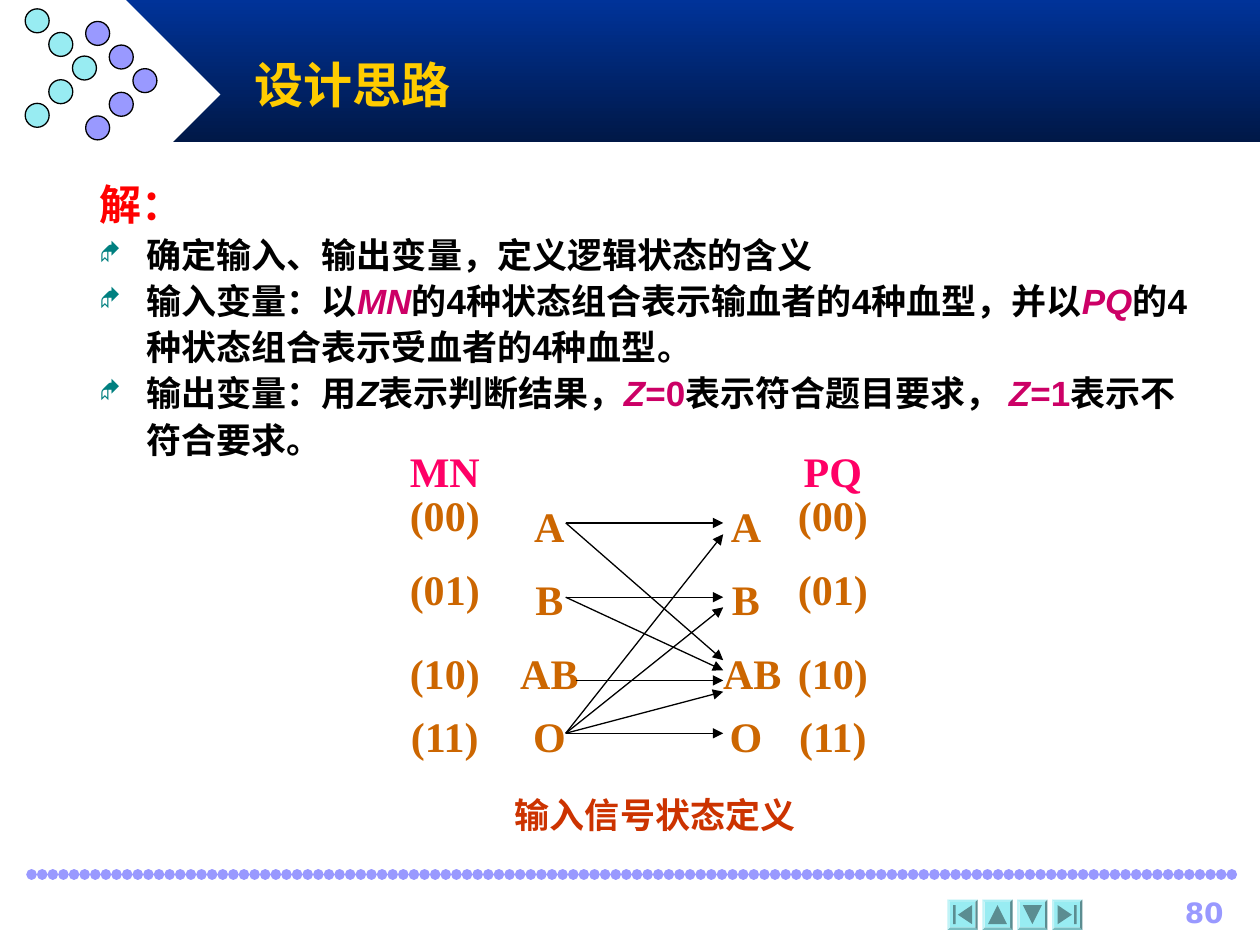
from typing import NamedTuple

from lxml import etree
from pptx import Presentation
from pptx.dml.color import RGBColor
from pptx.enum.shapes import MSO_CONNECTOR, MSO_SHAPE
from pptx.enum.text import MSO_ANCHOR, PP_ALIGN
from pptx.oxml.ns import qn
from pptx.util import Inches, Pt

STRAIGHT = MSO_CONNECTOR.STRAIGHT
RECT, DIAMOND, OVAL = MSO_SHAPE.RECTANGLE, MSO_SHAPE.DIAMOND, MSO_SHAPE.OVAL
BEVEL = MSO_SHAPE.BEVEL
FIRST, LAST = MSO_SHAPE.ACTION_BUTTON_BEGINNING, MSO_SHAPE.ACTION_BUTTON_END
PREVIOUS = MSO_SHAPE.ACTION_BUTTON_BACK_OR_PREVIOUS
NEXT = MSO_SHAPE.ACTION_BUTTON_FORWARD_OR_NEXT
LEFT, CENTER, RIGHT = PP_ALIGN.LEFT, PP_ALIGN.CENTER, PP_ALIGN.RIGHT
TOP, MIDDLE = MSO_ANCHOR.TOP, MSO_ANCHOR.MIDDLE
SANS, SERIF, NUMBER = "Arial", "Times New Roman", "DejaVu Sans"

COLORS = {
    "white": "FFFFFF", "black": "000000", "navy": "003399", "midnight": "001847",
    "violet": "9999FF", "aqua": "98ECF2", "gold": "FFCC00", "red": "FF0000",
    "teal": "008080", "magenta": "CC0066", "pink": "FF0066",
    "orange": "CC6600", "rust": "CC3300",
}


class Run(NamedTuple):
    text: str
    color: str = "black"
    italic: bool = False


class Label(NamedTuple):
    text: str
    left: float
    top: float
    width: float = 0.58
    height: float = 0.42
    size: int = 24
    font: str = SERIF
    color: str = "orange"
    align: PP_ALIGN = CENTER
    anchor: MSO_ANCHOR = MIDDLE
    spacing: float = 0.9
    wrap: bool = False


class Arrow(NamedTuple):
    x1: float
    y1: float
    y2: float


class Button(NamedTuple):
    kind: MSO_SHAPE
    rotation: int


def rgb(name: str) -> RGBColor:
    return RGBColor.from_string(COLORS[name])


def style_run(r, size: int, font: str, color: str, italic: bool = False) -> None:
    r.font.size, r.font.name = Pt(size), font
    r.font.bold, r.font.italic = True, italic
    r.font.color.rgb = rgb(color)


def add_shape(s, kind, left, top, width, height, fill, outlined=False):
    sp = s.shapes.add_shape(kind, Inches(left), Inches(top), Inches(width), Inches(height))
    sp.shadow.inherit = False
    sp.fill.solid()
    sp.fill.fore_color.rgb = rgb(fill)
    if outlined:
        sp.line.color.rgb = rgb("black")
        sp.line.width = Pt(0.75)
    else:
        sp.line.fill.background()
    return sp


def add_line(s, x1, y1, x2, y2, color, width):
    """Draw a line and return its a:ln element."""
    c = s.shapes.add_connector(STRAIGHT, Inches(x1), Inches(y1), Inches(x2), Inches(y2))
    c.line.color.rgb = rgb(color)
    c.line.width = Pt(width)
    ln = c._element.spPr.find(qn("a:ln"))
    etree.SubElement(c._element.spPr, qn("a:effectLst"))
    return ln


def add_label(s, label: Label) -> None:
    tb = s.shapes.add_textbox(Inches(label.left), Inches(label.top),
                              Inches(label.width), Inches(label.height))
    tf = tb.text_frame
    tf.text = label.text
    tf.word_wrap, tf.vertical_anchor = label.wrap, label.anchor
    if not label.wrap:
        tf.margin_left = tf.margin_right = 0
    p = tf.paragraphs[0]
    p.alignment, p.line_spacing = label.align, label.spacing
    style_run(p.runs[0], label.size, label.font, label.color)


def set_indent(p, bullet: bool) -> None:
    pPr = p._p.get_or_add_pPr()
    pPr.set("marL", str(Inches(3 / 8)))
    pPr.set("indent", str(-Inches(3 / 8)))
    if bullet:
        clr = etree.SubElement(pPr, qn("a:buClr"))
        etree.SubElement(clr, qn("a:srgbClr"), val=COLORS["teal"])
        etree.SubElement(pPr, qn("a:buSzPct"), val="70000")
        etree.SubElement(pPr, qn("a:buFont"), typeface="Wingdings", charset="2")
        etree.SubElement(pPr, qn("a:buChar"), char="◆")


def add_body(s, paragraphs: list[list[Run]]) -> None:
    tf = s.shapes.add_textbox(Inches(0.69), Inches(1.33), Inches(9), Inches(2.5)).text_frame
    tf.word_wrap = True
    for i, runs in enumerate(paragraphs):
        p = tf.paragraphs[0] if i == 0 else tf.add_paragraph()
        set_indent(p, bullet=i > 0)
        p.line_spacing = 1.1
        for run in runs:
            r = p.add_run()
            r.text = run.text
            style_run(r, 20 if i else 24, SANS, run.color, run.italic)


def add_chevron(s, left: float, top: float, color: str) -> None:
    """Five dots in the form of an arrowhead pointing right."""
    step = 0.75 / 4
    for row in range(5):
        x = left + step * (2 - abs(row - 2))
        add_shape(s, OVAL, x, top + step * row, 0.19, 0.19, color, outlined=True)


prs = Presentation()
prs.slide_width, prs.slide_height = Inches(10), Inches(7.5)
s = prs.slides.add_slide(prs.slide_layouts[6])

# Header band with its dotted emblem
band = add_shape(s, RECT, 1, 0, 9, 1.13, "navy")
band.fill.gradient()
band.fill.gradient_angle = 270
for stop, name, position in zip(band.fill.gradient_stops, ("navy", "midnight"), (0, 1)):
    stop.color.rgb = rgb(name)
    stop.position = position
add_shape(s, DIAMOND, 0.25, 0, 1.5, 1.5, "white")
add_chevron(s, 0.68, 0.17, "violet")
add_chevron(s, 0.2, 0.07, "aqua")

# Footer: dotted rule, navigation buttons on raised plates, page number
ln = add_line(s, 0.25, 6.94, 9.83, 6.94, "violet", 6)
ln.set("cap", "rnd")
dash = etree.SubElement(ln, qn("a:custDash"))
etree.SubElement(dash, qn("a:ds"), d="100000", sp="1000")

buttons = [Button(FIRST, 0), Button(PREVIOUS, 90), Button(NEXT, 90), Button(LAST, 0)]
for i, button in enumerate(buttons):
    x = 7.52 + 0.83 / 3 * i
    plate = add_shape(s, BEVEL, x, 7.14, 0.24, 0.24, "aqua")
    plate.adjustments[0] = 0.08
    sp = add_shape(s, button.kind, x + 0.02, 7.16, 0.2, 0.2, "aqua")
    sp.rotation = button.rotation
add_label(s, Label("80", 8.86, 7.06, 0.95, 0.33, 16, NUMBER, "violet", RIGHT, TOP, 1, True))

# Title and explanation
add_label(s, Label("设计思路", 1.92, 0.33, 7.5, 0.67, 28, SANS, "gold", LEFT, MIDDLE, 1, True))
add_body(s, [
    [Run("解：", "red")],
    [Run("确定输入、输出变量，定义逻辑状态的含义")],
    [Run("输入变量：以"), Run("MN", "magenta", True),
     Run("的4种状态组合表示输血者的4种血型，并以"), Run("PQ", "magenta", True),
     Run("的4种状态组合表示受血者的4种血型。")],
    [Run("输出变量：用"), Run("Z", italic=True), Run("表示判断结果，"),
     Run("Z", "magenta", True), Run("=0", "magenta"), Run("表示符合题目要求， "),
     Run("Z", "magenta", True), Run("=1", "magenta"), Run("表示不符合要求。")],
])

# State codes on the outer sides, blood types on the inner sides
CODE_TOPS = {"(00)": 3.9, "(01)": 4.49, "(10)": 5.15, "(11)": 5.65}
TYPE_TOPS = {"A": 3.99, "B": 4.57, "AB": 5.15, "O": 5.65}
for name, code_x, type_x, ab_x in (("MN", 3.24, 4.07, 4.07), ("PQ", 6.32, 5.63, 5.68)):
    add_label(s, Label(name, code_x, 3.55, color="pink"))
    for code, top in CODE_TOPS.items():
        add_label(s, Label(code, code_x, top))
    for blood, top in TYPE_TOPS.items():
        add_label(s, Label(blood, ab_x if blood == "AB" else type_x, top))

# Donor to recipient arrows
arrows = [
    Arrow(4.49, 4.15, 4.15), Arrow(4.49, 4.15, 5.24),
    Arrow(4.49, 4.74, 4.74), Arrow(4.49, 4.74, 5.32),
    Arrow(4.57, 5.4, 5.4),
    Arrow(4.49, 5.82, 4.24), Arrow(4.49, 5.82, 4.82),
    Arrow(4.49, 5.82, 5.49), Arrow(4.49, 5.82, 5.82),
]
for a in arrows:
    ln = add_line(s, a.x1, a.y1, 5.74, a.y2, "black", 0.75)
    etree.SubElement(ln, qn("a:tailEnd"), type="triangle")

add_label(s, Label("输入信号状态定义", 3.66, 6.15, 3.08, 0.67, 20, color="rust"))

prs.save("out.pptx")
